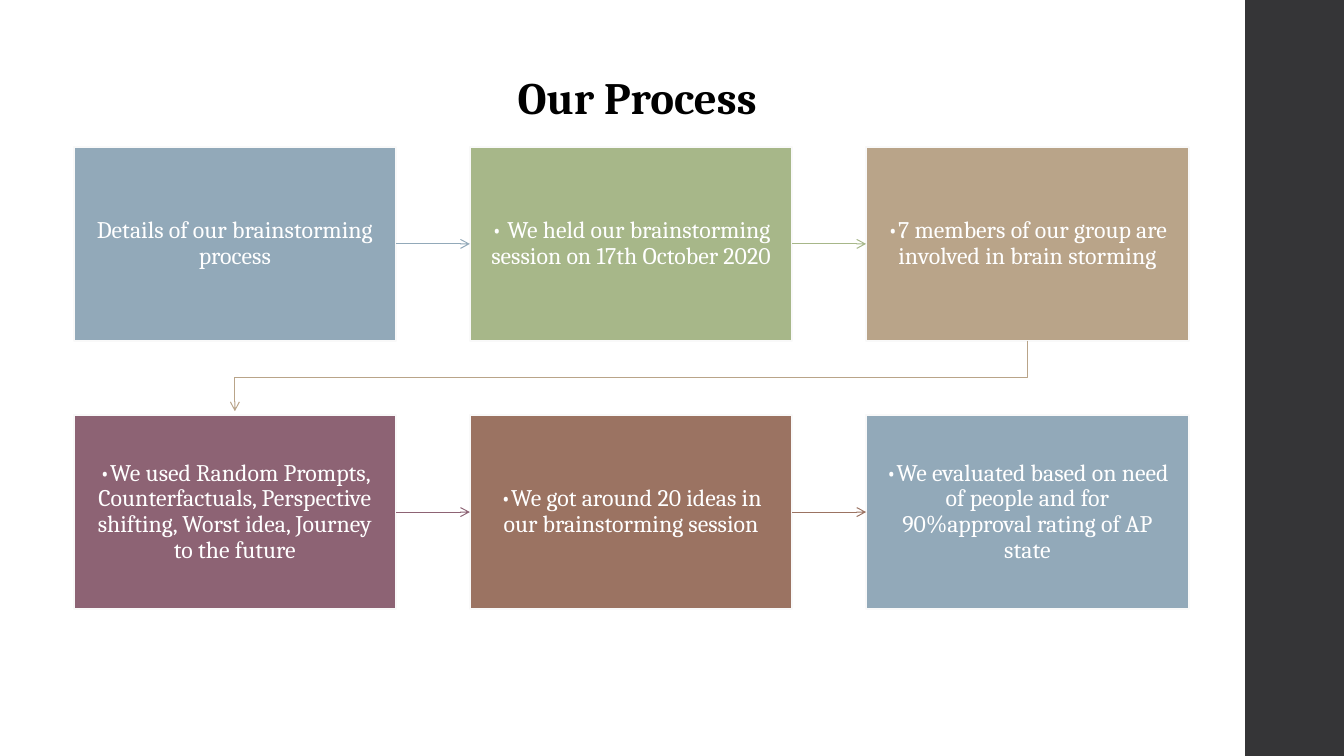
"""Build the "Our Process" slide: six steps in two rows, joined by arrows."""
from lxml.etree import SubElement
from pptx import Presentation
from pptx.dml.color import RGBColor
from pptx.enum.shapes import MSO_CONNECTOR, MSO_SHAPE
from pptx.enum.text import MSO_ANCHOR, MSO_AUTO_SIZE, PP_ALIGN
from pptx.oxml.ns import qn
from pptx.util import Inches, Pt

TITLE = "Our Process"
STEPS = [
    ("Details of our brainstorming process", "blue"),
    ("• We held our brainstorming session on 17th October 2020", "green"),
    ("•7 members of our group are involved in brain storming", "tan"),
    ("•We used Random Prompts, Counterfactuals, Perspective shifting, "
     "Worst idea, Journey to the future", "plum"),
    ("•We got around 20 ideas in our brainstorming session", "brown"),
    ("•We evaluated based on need of people and for 90%approval rating of AP state",
     "blue"),
]
COLORS = {
    "blue": "92A9B9", "green": "A7B789", "tan": "B9A489", "plum": "8D6374",
    "brown": "9B7362", "bar": "353537", "edge": "F9F9F9",
    "white": "FFFFFF", "black": "000000",
}
FONT = "Cambria"
COLS = 3
LEFT, TOP = 0.73, 1.46
BOX_W, BOX_H = 3.2, 1.92
STEP_X, STEP_Y = 3.93, 2.66
GAP = 0.04


def rgb(name):
    return RGBColor.from_string(COLORS[name])


def write(sp, text, size, color, bold=False, inset=0.1, spacing=1.0):
    tf = sp.text_frame
    tf.word_wrap = True
    tf.auto_size = MSO_AUTO_SIZE.NONE
    tf.vertical_anchor = MSO_ANCHOR.MIDDLE
    tf.margin_left = tf.margin_right = Inches(inset)
    tf.margin_top = tf.margin_bottom = Inches(min(inset, 0.16) if inset > 0.1 else 0.05)
    p = tf.paragraphs[0]
    p.alignment = PP_ALIGN.CENTER
    p.line_spacing = spacing
    r = p.add_run()
    r.text = text
    r.font.name, r.font.size, r.font.bold = FONT, Pt(size), bold
    r.font.color.rgb = rgb(color)


def add_rect(slide, x, y, w, h, color):
    sp = slide.shapes.add_shape(
        MSO_SHAPE.RECTANGLE, Inches(x), Inches(y), Inches(w), Inches(h))
    sp.shadow.inherit = False
    sp.fill.solid()
    sp.fill.fore_color.rgb = rgb(color)
    sp.line.fill.background()
    return sp


def style_arrow(sp, color):
    sp.line.color.rgb = rgb(color)
    sp.line.width = Pt(0.75)
    SubElement(sp.line._get_or_add_ln(), qn("a:tailEnd"), type="arrow")


def add_straight(slide, start, end, color):
    cx = slide.shapes.add_connector(MSO_CONNECTOR.STRAIGHT, 0, 0, 0, 0)
    cx.begin_connect(start, 3)
    cx.end_connect(end, 1)
    style_arrow(cx, color)
    SubElement(cx._element.spPr, qn("a:effectLst"))


def add_row_turn(slide, start, end, color):
    x1, x2 = (b.left + b.width // 2 for b in (start, end))
    y1, y2 = start.top + start.height, end.top
    mid = (y1 + y2) // 2
    fb = slide.shapes.build_freeform(x1, y1)
    fb.add_line_segments([(x1, mid), (x2, mid), (x2, y2 - Inches(GAP))], close=False)
    sp = fb.convert_to_shape()
    sp.shadow.inherit = False
    sp.fill.background()
    style_arrow(sp, color)


def main():
    prs = Presentation()
    prs.slide_width, prs.slide_height = Inches(13.33), Inches(7.5)
    slide = prs.slides.add_slide(prs.slide_layouts[5])
    add_rect(slide, 12.35, 0, 0.98, 7.5, "bar")

    title = slide.shapes.title
    title.left, title.top = Inches(4.45), Inches(0.64)
    title.width, title.height = Inches(3.74), Inches(0.64)
    write(title, TITLE, 32, "black", bold=True)

    boxes = []
    for i, (text, color) in enumerate(STEPS):
        row, col = divmod(i, COLS)
        sp = add_rect(slide, LEFT + col * STEP_X, TOP + row * STEP_Y, BOX_W, BOX_H, color)
        sp.line.color.rgb = rgb("edge")
        sp.line.width = Pt(1.35)
        write(sp, text, 17, "white", inset=0.16, spacing=0.9)
        boxes.append(sp)

    for i, (start, end) in enumerate(zip(boxes, boxes[1:])):
        connect = add_row_turn if (i + 1) % COLS == 0 else add_straight
        connect(slide, start, end, STEPS[i][1])

    prs.save("out.pptx")


if __name__ == "__main__":
    main()
